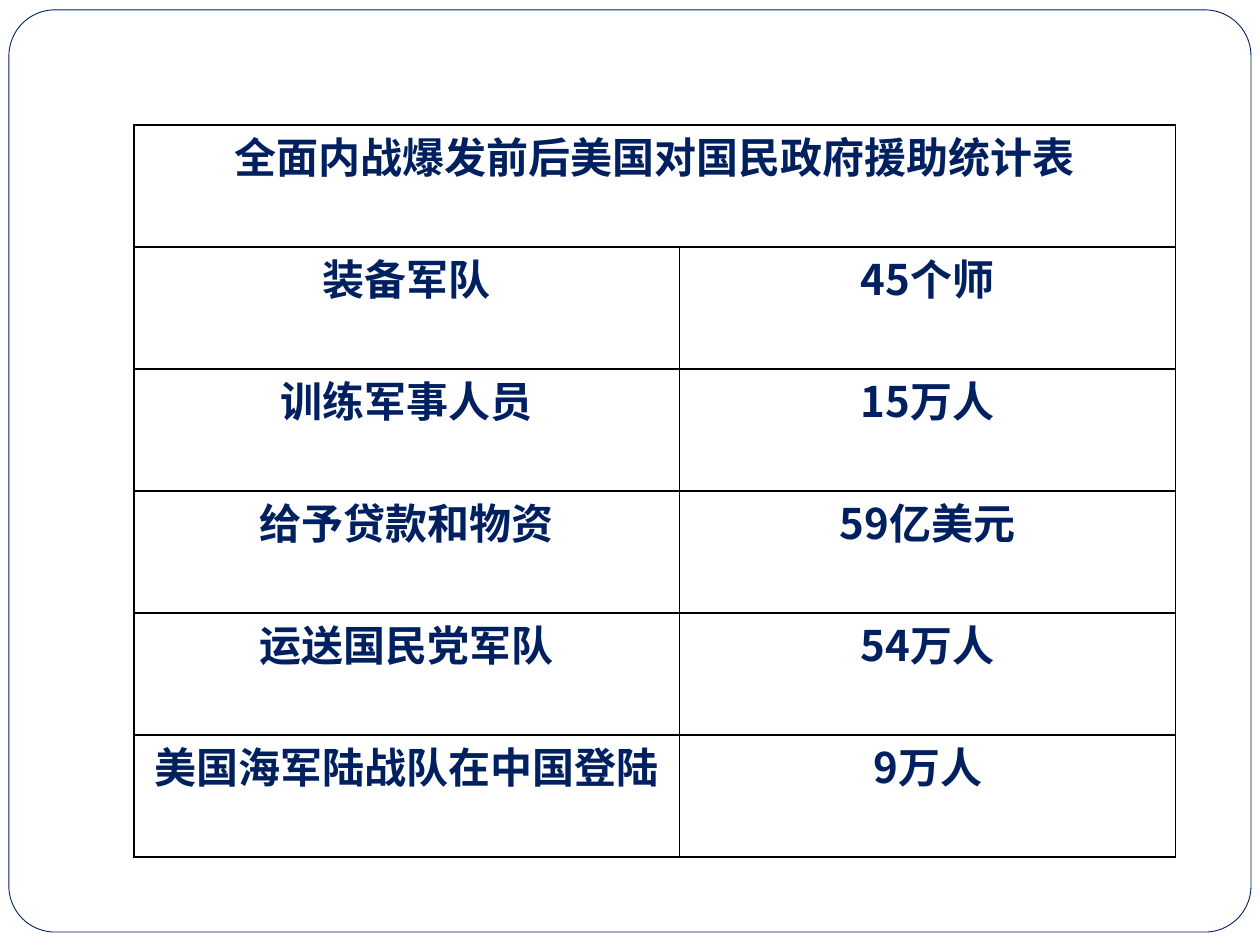
from lxml.etree import SubElement
from pptx import Presentation
from pptx.dml.color import RGBColor as RGB
from pptx.enum.shapes import MSO_SHAPE as Shape
from pptx.enum.text import MSO_ANCHOR as Anchor, PP_ALIGN as Align
from pptx.oxml.ns import qn
from pptx.util import Cm, Pt

# Content
HEADING = "全面内战爆发前后美国对国民政府援助统计表"
AID = [
    ("装备军队", "45个师"),
    ("训练军事人员", "15万人"),
    ("给予贷款和物资", "59亿美元"),
    ("运送国民党军队", "54万人"),
    ("美国海军陆战队在中国登陆", "9万人"),
]

# Format
COLORS = {"paper": "FFFFFF", "navy": "002060", "rule": "000000"}
FONT = "Noto Sans CJK JP"
TEXT = {"name": FONT, "size": Pt(24), "bold": True}
CELL = {"margin_left": Cm(0.18), "margin_right": Cm(0.18), "margin_top": 0,
        "margin_bottom": 0, "vertical_anchor": Anchor.TOP}
COLUMN_WIDTHS = (11, 10)
ROW_HEIGHT = 2.46


def color(name):
    return RGB.from_string(COLORS[name])


def apply(target, values):
    for key, value in values.items():
        setattr(target, key, value)


def add_borders(cell):
    properties = cell._tc.get_or_add_tcPr()
    for position, side in enumerate(("lnL", "lnR", "lnT", "lnB")):
        border = properties.makeelement(qn(f"a:{side}"), {"w": str(Pt(1))})
        fill = SubElement(border, qn("a:solidFill"))
        SubElement(fill, qn("a:srgbClr"), val=COLORS["rule"])
        properties.insert(position, border)


def write(cell, wording):
    cell.text = wording
    paragraph = cell.text_frame.paragraphs[0]
    paragraph.alignment = Align.CENTER
    run = paragraph.runs[0]
    apply(run.font, TEXT)
    run.font.color.rgb = color("navy")
    SubElement(run.font._element, qn("a:ea"), typeface=FONT)


def main():
    deck = Presentation()
    deck.slide_width, deck.slide_height = Cm(25.4), Cm(19.05)
    slide = deck.slides.add_slide(deck.slide_layouts[6])

    # Rounded frame
    frame = slide.shapes.add_shape(
        Shape.ROUNDED_RECTANGLE, Cm(0.18), Cm(0.2), Cm(25.04), Cm(18.59))
    frame.adjustments[0] = 0.05
    frame.shadow.inherit = False
    frame.fill.solid()
    frame.fill.fore_color.rgb = color("paper")
    frame.line.color.rgb = color("navy")
    frame.line.width = Pt(0.5)

    # Aid table
    row_count = len(AID) + 1
    table = slide.shapes.add_table(
        row_count, len(COLUMN_WIDTHS), Cm(2.7), Cm(2.52),
        Cm(sum(COLUMN_WIDTHS)), Cm(ROW_HEIGHT * row_count)).table
    for column, width in zip(table.columns, COLUMN_WIDTHS):
        column.width = Cm(width)
    for row in table.rows:
        row.height = Cm(ROW_HEIGHT)
    for cell in table.iter_cells():
        apply(cell, CELL)
        cell.fill.solid()
        cell.fill.fore_color.rgb = color("paper")
        add_borders(cell)

    # Heading across both columns, then one row per kind of aid
    table.cell(0, 0).merge(table.cell(0, 1))
    write(table.cell(0, 0), HEADING)
    for row_index, entry in enumerate(AID, start=1):
        for column_index, wording in enumerate(entry):
            write(table.cell(row_index, column_index), wording)

    deck.save("out.pptx")


if __name__ == "__main__":
    main()
